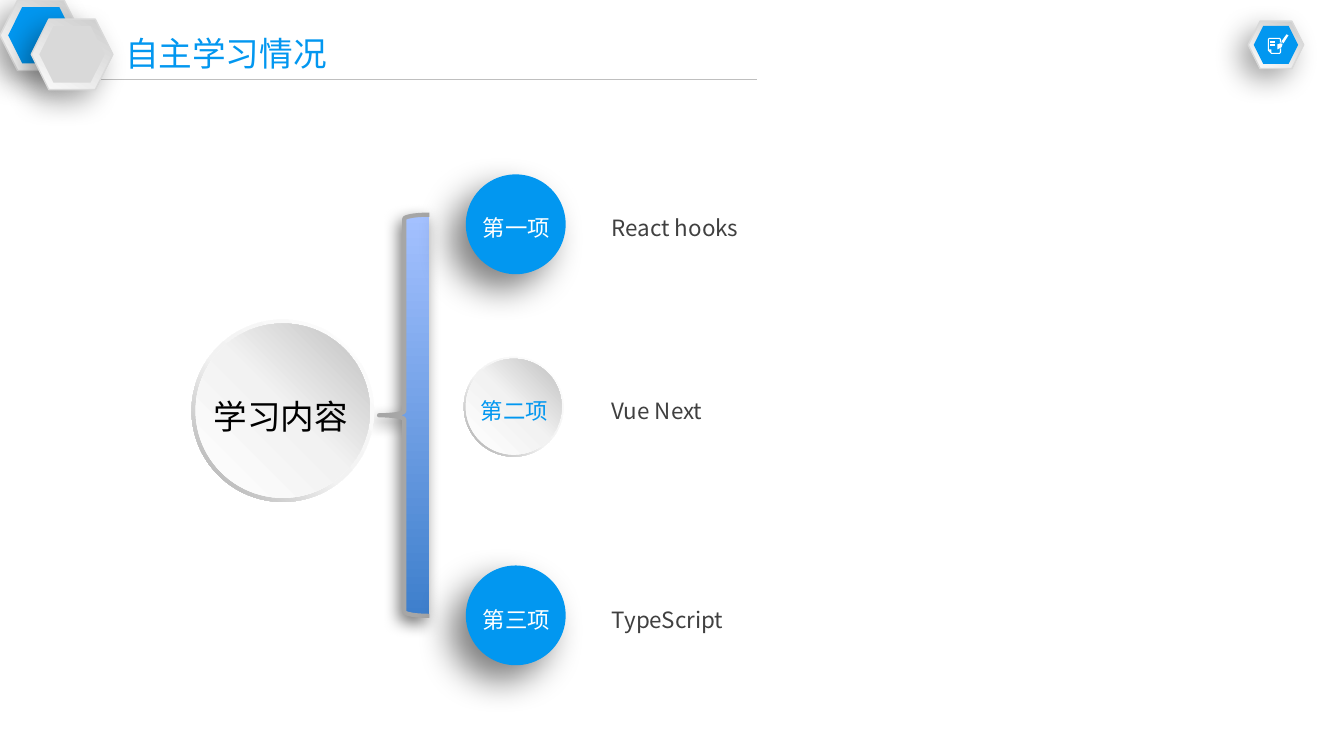
import pptx
import pptx.util
import pptx.dml.color
import pptx.enum.shapes
import pptx.enum.text
import pptx.oxml.ns
import lxml.etree

Inches, Pt = pptx.util.Inches, pptx.util.Pt
SHAPE = pptx.enum.shapes.MSO_SHAPE
ALIGN = pptx.enum.text.PP_ALIGN
qn = pptx.oxml.ns.qn

FONT = "Noto Sans CJK SC"
COLORS = {
    "blue": "0297F0", "white": "FFFFFF", "black": "000000", "text": "404040",
    "rule": "BFBFBF", "brace": "A6A6A6", "plate": "D9D9D9",
}
BEVEL = [(0, "CCCCCC"), (100, "FCFCFC")]
RIM = [(0, "FFFFFF"), (55, "F2F2F2"), (100, "A6A6A6")]
FACE = [(0, "FFFFFF"), (51, "F2F2F2"), (100, "BFBFBF")]
# opacity %, blur pt, distance pt, direction in degrees
PLATE_SHADOW = (34, 20, 10, 136)
DISC_SHADOW = (50, 25, 15, 135)
BRACE_SHADOW = (50, 11, 5, 135)


def rgb(name):
    return pptx.dml.color.RGBColor.from_string(COLORS[name])


def sub(parent, tag, **attrs):
    return lxml.etree.SubElement(parent, qn(tag), {k: str(v) for k, v in attrs.items()})


def set_gradient(sp, stops, angle):
    """Fill with (percent, hex) stops; angle runs clockwise."""
    sp.fill.gradient()
    sp.fill.gradient_angle = 360 - angle
    gs_lst = sp._element.spPr.find(".//" + qn("a:gsLst"))
    for gs in list(gs_lst):
        gs_lst.remove(gs)
    for pos, color in stops:
        sub(sub(gs_lst, "a:gs", pos=pos * 1000), "a:srgbClr", val=color)


def style(sp, fill=None, line=None, width=1, shadow=None):
    if fill:
        sp.fill.solid()
        sp.fill.fore_color.rgb = rgb(fill)
    if line:
        sp.line.color.rgb = rgb(line)
        sp.line.width = Pt(width)
    else:
        sp.line.fill.background()
    sp.shadow.inherit = False
    if shadow:
        opacity, blur, dist, direction = shadow
        effects = sp._element.spPr.find(qn("a:effectLst"))
        outer = sub(effects, "a:outerShdw", blurRad=Pt(blur), dist=Pt(dist),
                    dir=direction * 60000, algn="ctr", rotWithShape=0)
        sub(sub(outer, "a:srgbClr", val=COLORS["black"]), "a:alpha", val=opacity * 1000)


def add_shape(s, kind, x, y, w, h):
    return s.shapes.add_shape(kind, Inches(x), Inches(y), Inches(w), Inches(h))


def add_line(s, x1, y1, x2, y2, color, width):
    ln = s.shapes.add_connector(pptx.enum.shapes.MSO_CONNECTOR.STRAIGHT,
                                Inches(x1), Inches(y1), Inches(x2), Inches(y2))
    ln.line.color.rgb = rgb(color)
    ln.line.width = Pt(width)
    sub(ln._element.spPr, "a:effectLst")


def write(sp, text, size, color, align=ALIGN.LEFT, spacing=1.0):
    tf = sp.text_frame
    tf.word_wrap = True
    tf.auto_size = pptx.enum.text.MSO_AUTO_SIZE.NONE
    tf.vertical_anchor = pptx.enum.text.MSO_ANCHOR.TOP
    p = tf.paragraphs[0]
    p.alignment, p.line_spacing = align, spacing
    r = p.add_run()
    r.text = text
    r.font.size, r.font.name = Pt(size), FONT
    r.font.color.rgb = rgb(color)
    sub(r._r.get_or_add_rPr(), "a:ea", typeface=FONT)


def add_text(s, x, y, w, h, *args, **kwargs):
    box = s.shapes.add_textbox(Inches(x), Inches(y), Inches(w), Inches(h))
    write(box, *args, **kwargs)


def hexagon_badge(s, x, y, w, h, color):
    plate = add_shape(s, SHAPE.HEXAGON, x, y, w, h)
    set_gradient(plate, BEVEL, 120)
    style(plate, line="plate", shadow=PLATE_SHADOW)
    inner = add_shape(s, SHAPE.HEXAGON, x + 0.1 * w, y + 0.1 * h, 0.8 * w, 0.8 * h)
    style(inner, fill=color)


def polygon(s, x, y, points, close=True):
    """Outline through points given relative to (x, y)."""
    pts = [(Inches(x + dx), Inches(y + dy)) for dx, dy in points]
    fb = s.shapes.build_freeform(*pts[0], scale=1.0)
    fb.add_line_segments(pts[1:], close=close)
    return fb.convert_to_shape()


def note_icon(s, x, y):
    page = polygon(s, x, y, [(0.13, 0.05), (0.13, 0.02), (0.12, 0.01), (0.02, 0.01),
                             (0.01, 0.02), (0.01, 0.13), (0.04, 0.16), (0.12, 0.16),
                             (0.13, 0.15), (0.13, 0.11)], close=False)
    page.fill.background()
    style(page, line="white", width=0.75)
    fold = [(0.01, 0.12), (0.04, 0.12), (0.04, 0.16)]
    pencil = [(0.19, -0.03), (0.14, 0.04), (0.16, 0.06), (0.21, -0.02)]
    ferrule = [(0.13, 0.05), (0.14, 0.05), (0.15, 0.06), (0.14, 0.06)]
    nib = [(0.13, 0.06), (0.15, 0.07), (0.14, 0.1), (0.1, 0.12), (0.1, 0.07)]
    for points in (fold, pencil, ferrule, nib):
        style(polygon(s, x, y, points), fill="white")
    for dy in (0.04, 0.05, 0.07, 0.08):
        add_line(s, x + 0.03, y + dy, x + 0.08, y + dy, "white", 0.25)


def header(s, x, y, w, title):
    add_line(s, x + 0.81, y + 0.79, x + 7.51, y + 0.79, "rule", 1)
    hexagon_badge(s, x, y, 0.81, 0.7, "blue")
    hexagon_badge(s, x + 0.31, y + 0.19, 0.81, 0.7, "plate")
    sp = s.shapes.title
    sp.left, sp.top = Inches(x + 1.14), Inches(y + 0.28)
    sp.width, sp.height = Inches(2.68), Inches(0.5)
    write(sp, title, 24, "blue")
    hexagon_badge(s, x + w - 0.95, y + 0.21, 0.55, 0.47, "blue")
    note_icon(s, x + w - 0.76, y + 0.37)


def raised_disc(s, x, y, d, rim):
    ring = add_shape(s, SHAPE.DONUT, x, y, d, d)
    ring.adjustments[0] = 0.049
    set_gradient(ring, RIM, 135)
    style(ring)
    face = add_shape(s, SHAPE.OVAL, x + rim, y + rim, d - 2 * rim, d - 2 * rim)
    set_gradient(face, FACE, 315)
    style(face)


def flat_disc(s, x, y, d):
    style(add_shape(s, SHAPE.OVAL, x, y, d, d), fill="blue", shadow=DISC_SHADOW)


def topic_tree(s, x, y, topic, items):
    """Topic disc, brace and one row per (offset, raised, label, detail)."""
    brace = add_shape(s, SHAPE.LEFT_BRACE, x + 1.86, y + 0.4, 0.5, 3.98)
    style(brace, line="brace", width=3, shadow=BRACE_SHADOW)
    raised_disc(s, x, y + 1.44, 1.81, 0.04)
    add_text(s, x + 0.12, y + 2.15, 1.88, 0.5, topic, 24, "black")
    for dy, raised, label, detail in items:
        disc_x, top = x + (2.7 if raised else 2.72), y + dy
        if raised:
            raised_disc(s, disc_x, top, 0.99, 0.02)
        else:
            flat_disc(s, disc_x, top, 0.99)
        add_text(s, disc_x + 0.07, top + 0.35, 0.91, 0.37, label, 16,
                 "blue" if raised else "white")
        add_text(s, x + 4.07, top + 0.27, 5.49, 0.42, detail, 16, "text",
                 align=ALIGN.JUSTIFY, spacing=1.3)


def main():
    prs = pptx.Presentation()
    prs.slide_width, prs.slide_height = Inches(13.33), Inches(7.5)
    s = prs.slides.add_slide(prs.slide_layouts[5])
    header(s, 0, 0, 13.33, "自主学习情况")
    topic_tree(s, 1.9, 1.73, "学习内容", [
        (0, False, "第一项", "React hooks"),
        (1.81, True, "第二项", "Vue Next"),
        (3.88, False, "第三项", "TypeScript"),
    ])
    prs.save("out.pptx")


if __name__ == "__main__":
    main()
